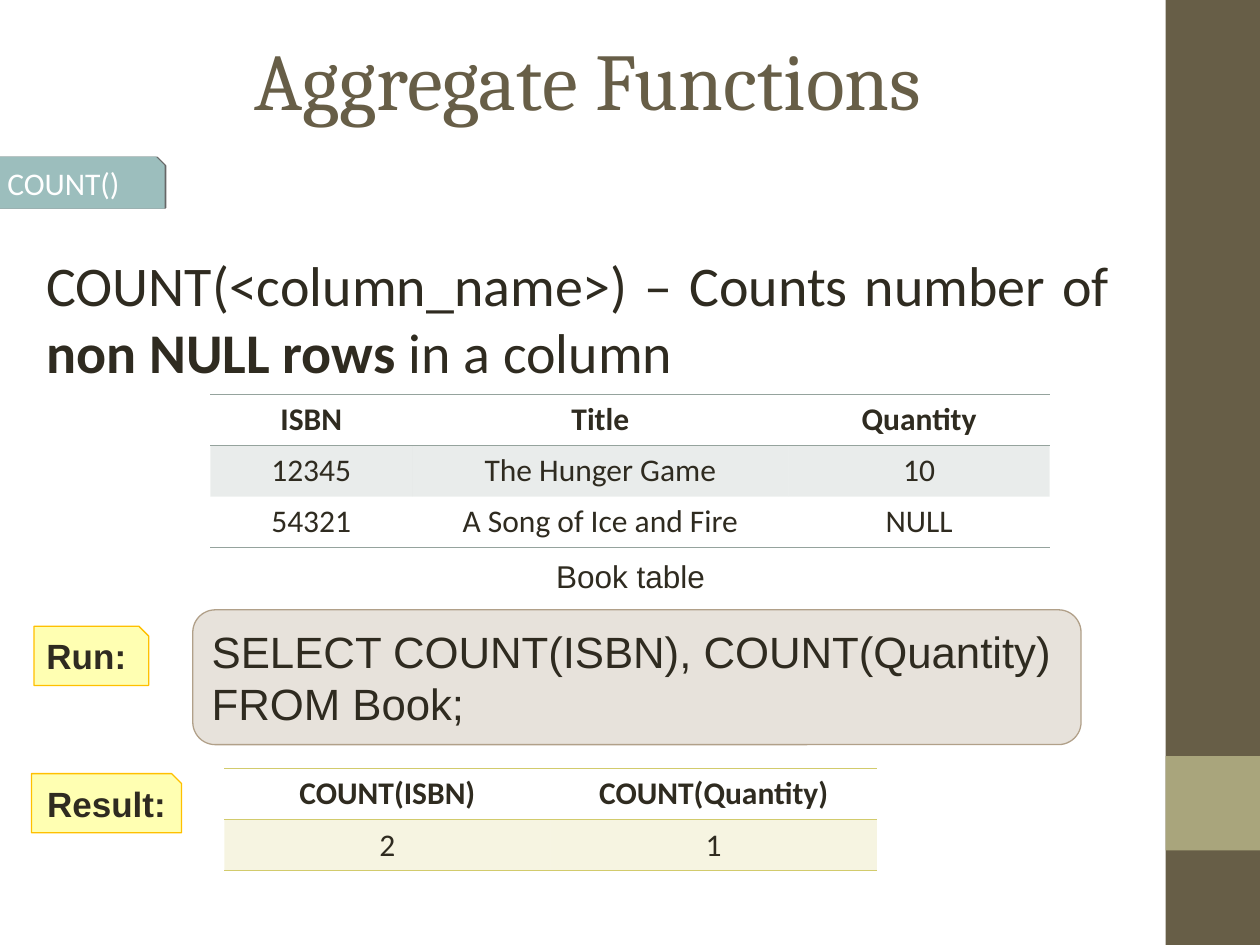
from lxml import etree
from pptx import Presentation
from pptx.dml.color import RGBColor
from pptx.enum.shapes import MSO_SHAPE
from pptx.enum.text import MSO_ANCHOR, MSO_AUTO_SIZE, PP_ALIGN
from pptx.oxml import parse_xml
from pptx.oxml.ns import nsdecls, qn
from pptx.util import Inches, Pt

LEFT, MID, JUST = PP_ALIGN.LEFT, PP_ALIGN.CENTER, PP_ALIGN.JUSTIFY
TOP, CENTER = MSO_ANCHOR.TOP, MSO_ANCHOR.MIDDLE
RECT, ROUND = MSO_SHAPE.RECTANGLE, MSO_SHAPE.ROUNDED_RECTANGLE

BROWN = RGBColor(0x67, 0x5E, 0x47)
OLIVE = RGBColor(0xA9, 0xA5, 0x7C)
INK = RGBColor(0x2F, 0x2B, 0x20)
WHITE = RGBColor(0xFF, 0xFF, 0xFF)
TEAL = RGBColor(0x9C, 0xBE, 0xBD)
TAN = RGBColor(0xB1, 0xA0, 0x89)
YELLOW = RGBColor(0xFF, 0xFF, 0x00)
AMBER = RGBColor(0xFF, 0xC0, 0x00)
GRAY = RGBColor(0x95, 0xA3, 0x9D)
GOLD = RGBColor(0xD2, 0xCB, 0x6C)

# Content: each text is a list of (words, bold) runs
TITLE = [("Aggregate Functions", False)]
TOPIC = [("COUNT()", False)]
BODY = [("COUNT(<column_name>) – Counts number of ", False),
        ("non NULL rows ", True), ("in a column", False)]
QUERY = [("SELECT COUNT(ISBN), COUNT(Quantity) FROM Book;", False)]
CAPTION = [("Book table", False)]
BANDS = [((9.25, 0, 0.75, 7.5), BROWN), ((9.25, 6, 0.75, 0.75), OLIVE)]
LABELS = [("Run:", (0.27, 4.97, 0.91, 0.47), LEFT),
          ("Result:", (0.25, 6.14, 1.19, 0.47), MID)]
TABLES = [
    ((1.67, 3.13), (1.6, 2.99, 2.07), GRAY,
     [("ISBN", "Title", "Quantity"),
      ("12345", "The Hunger Game", "10"),
      ("54321", "A Song of Ice and Fire", "NULL")]),
    ((1.78, 6.1), (2.59, 2.59), GOLD,
     [("COUNT(ISBN)", "COUNT(Quantity)"), ("2", "1")]),
]
ROW = 0.405
SNIP = 1 / 6


def write(frame, runs, size=18, font="Calibri", color=INK, align=LEFT, anchor=TOP):
    frame.word_wrap = True
    frame.auto_size = MSO_AUTO_SIZE.NONE
    frame.vertical_anchor = anchor
    para = frame.paragraphs[0]
    para.alignment = align
    for words, bold in runs:
        run = para.add_run()
        run.text = words
        run.font.size, run.font.name, run.font.bold = Pt(size), font, bold
        run.font.color.rgb = color


def tint(fill, color, alpha=100):
    fill.solid()
    fill.fore_color.rgb = color
    if alpha < 100:
        node = fill._xPr.find(qn("a:solidFill"))[0]
        etree.SubElement(node, qn("a:alpha")).set("val", str(alpha * 1000))


def paint(shape, color, edge=None, width=0.75, alpha=100):
    shape.shadow.inherit = False
    tint(shape.fill, color, alpha)
    if edge is None:
        shape.line.fill.background()
    else:
        shape.line.color.rgb = edge
        shape.line.width = Pt(width)
    return shape


def shape_at(kind, box):
    return slide.shapes.add_shape(kind, *map(Inches, box))


def text_at(box, runs, **style):
    area = slide.shapes.add_textbox(*map(Inches, box))
    write(area.text_frame, runs, **style)


def tag_at(box):
    """Rectangle with its top right corner cut off."""
    x, y, w, h = map(Inches, box)
    cut = int(h * SNIP)
    pen = slide.shapes.build_freeform(x, y)
    pen.add_line_segments([(x + w - cut, y), (x + w, y + cut),
                           (x + w, y + h), (x, y + h)], close=True)
    return pen.convert_to_shape()


def rule(cell, edges, color):
    """Draw the named cell edges and clear the others."""
    for spot, side in enumerate("LRTB"):
        ink = (f'<a:solidFill><a:srgbClr val="{color}"/></a:solidFill>'
               if side in edges else "<a:noFill/>")
        line = parse_xml(f'<a:ln{side} {nsdecls("a")} w="5715">{ink}</a:ln{side}>')
        cell._tc.get_or_add_tcPr().insert(spot, line)


def table_at(spot, cols, color, rows):
    size = (sum(cols), ROW * len(rows))
    grid = slide.shapes.add_table(len(rows), len(cols),
                                  *map(Inches, spot + size)).table
    grid.horz_banding = grid.first_row = False
    for col, width in zip(grid.columns, cols):
        col.width = Inches(width)
    for r, row in enumerate(rows):
        grid.rows[r].height = Inches(ROW)
        for c, words in enumerate(row):
            cell = grid.cell(r, c)
            write(cell.text_frame, [(words, r == 0)], align=MID)
            if r % 2:
                tint(cell.fill, color, 20)
            else:
                cell.fill.background()
            edges = ("T" if r < 2 else "") + ("B" if r in (0, len(rows) - 1) else "")
            rule(cell, edges, color)


deck = Presentation()
deck.slide_width, deck.slide_height = Inches(10), Inches(7.5)
slide = deck.slides.add_slide(deck.slide_layouts[5])

# Side bands
for box, color in BANDS:
    paint(shape_at(RECT, box), color)

# Title
title = slide.shapes.title
title.left, title.top, title.width, title.height = map(Inches, (0.5, 0, 8.33, 1.25))
write(title.text_frame, TITLE, size=46, font="Cambria", color=BROWN,
      align=MID, anchor=CENTER)

# Topic tag with a thin shadow on its right
topic = paint(tag_at((-0.04, 1.25, 1.34, 0.4)), TEAL, TEAL, 1)
write(topic.text_frame, TOPIC, color=WHITE, align=JUST, anchor=CENTER)
topic._element.spPr.find(qn("a:effectLst")).append(parse_xml(
    f'<a:outerShdw {nsdecls("a")} blurRad="0" dist="12700" dir="0">'
    '<a:srgbClr val="000000"><a:alpha val="60000"/></a:srgbClr></a:outerShdw>'))

# Definition and caption
text_at((0.27, 1.94, 8.64, 1.18), BODY, size=32, align=JUST)
text_at((3.9, 4.37, 2.21, 0.4), CAPTION, font="Arial", align=MID)

# Query box
query = paint(shape_at(ROUND, (1.53, 4.84, 7.05, 1.07)), TAN, TAN, alpha=30)
write(query.text_frame, QUERY, size=25, font="Arial", anchor=CENTER)

# Step labels
for words, box, align in LABELS:
    label = paint(tag_at(box), YELLOW, AMBER, alpha=30)
    write(label.text_frame, [(words, True)], size=20, font="Arial",
          align=align, anchor=CENTER)

# Tables
for item in TABLES:
    table_at(*item)

deck.save("out.pptx")
